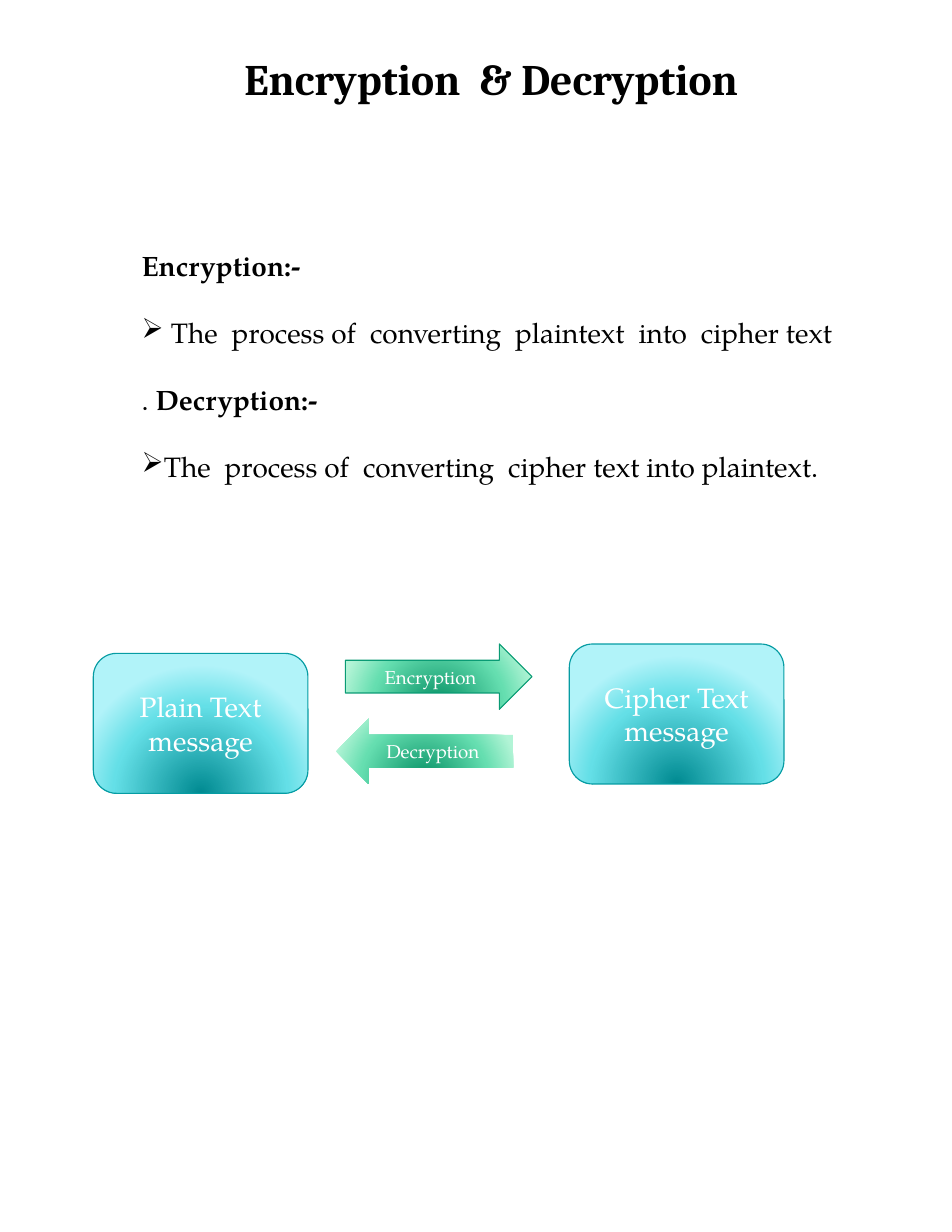
from dataclasses import dataclass
from typing import Optional

from lxml import etree
from pptx import Presentation
from pptx.dml.color import RGBColor
from pptx.enum.shapes import MSO_SHAPE
from pptx.enum.text import MSO_ANCHOR, PP_ALIGN
from pptx.oxml.ns import qn
from pptx.util import Inches, Pt

BOX, RIGHT, LEFT = (MSO_SHAPE.ROUNDED_RECTANGLE, MSO_SHAPE.RIGHT_ARROW,
                    MSO_SHAPE.LEFT_ARROW)
CENTER, MIDDLE = PP_ALIGN.CENTER, MSO_ANCHOR.MIDDLE

BLACK = RGBColor(0x00, 0x00, 0x00)
WHITE = RGBColor(0xFF, 0xFF, 0xFF)
TEAL_LINE = RGBColor(0x06, 0x9C, 0xA3)
GREEN_LINE = RGBColor(0x0A, 0x9B, 0x74)
TEAL = {0: RGBColor(0x00, 0x8A, 0x91), 68: RGBColor(0x64, 0xDF, 0xE7),
        100: RGBColor(0xB1, 0xF3, 0xF9)}
GREEN = {0: RGBColor(0x00, 0x8C, 0x60), 68: RGBColor(0x65, 0xDE, 0xB0),
         100: RGBColor(0xB2, 0xF4, 0xD6)}

HEAD_FONT, BODY_FONT = "Cambria", "TeX Gyre Pagella"
CELL = Inches(1) // 12  # the layout grid has twelve cells to the inch


@dataclass(frozen=True)
class Node:
    kind: int
    col: int
    row: int
    cols: int
    rows: int
    lines: tuple[str, ...]
    size: int
    stops: dict[int, RGBColor]
    line: Optional[RGBColor]


@dataclass(frozen=True)
class Para:
    runs: tuple[tuple[str, bool], ...]  # text, bold
    bullet: bool = False


NODES = (
    Node(BOX, 10, 70, 23, 15, ("Plain Text", "message"), 18, TEAL, TEAL_LINE),
    Node(RIGHT, 37, 69, 20, 7, ("Encryption",), 12, GREEN, GREEN_LINE),
    Node(BOX, 61, 69, 23, 15, ("Cipher Text", "message"), 18, TEAL, TEAL_LINE),
    Node(LEFT, 36, 77, 19, 7, ("Decryption",), 12, GREEN, None),
)
TITLE = (Para((("Encryption  & Decryption", True),)),)
BODY = (
    Para((("Encryption:-", True),)),
    Para(((" The  process of  converting  plaintext  into  cipher text", False),), True),
    Para(((".", False), (" Decryption:-", True))),
    Para((("The  process of  converting  cipher text into plaintext.", False),), True),
)


def add_run(p, text: str, color: RGBColor, **font) -> None:
    r = p.add_run()
    r.text = text
    r.font.color.rgb = color
    for name, value in font.items():
        setattr(r.font, name, value)


def paragraph(tf, i: int):
    return tf.add_paragraph() if i else tf.paragraphs[0]


def add_bullet(p) -> None:
    pPr = p._p.get_or_add_pPr()
    pPr.set("marL", "0")
    pPr.set("indent", "0")
    etree.SubElement(pPr, qn("a:buChar")).set("char", "➢")


def radial_fill(s, stops: dict[int, RGBColor]) -> None:
    """Fill with a circular gradient whose centre lies below the shape."""
    s.fill.gradient()
    grad = s._element.spPr.find(qn("a:gradFill"))
    for child in list(grad):
        grad.remove(child)
    gs_list = etree.SubElement(grad, qn("a:gsLst"))
    for pos, color in stops.items():
        gs = etree.SubElement(gs_list, qn("a:gs"), pos=str(pos * 1000))
        etree.SubElement(gs, qn("a:srgbClr"), val=str(color))
    circle = etree.SubElement(grad, qn("a:path"), {"path": "circle"})
    etree.SubElement(circle, qn("a:fillToRect"),
                     l="50000", t="130000", r="50000", b="-30000")


def add_node(slide, node: Node) -> None:
    s = slide.shapes.add_shape(node.kind, node.col * CELL, node.row * CELL,
                               node.cols * CELL, node.rows * CELL)
    s.shadow.inherit = False
    radial_fill(s, node.stops)
    if node.line is None:
        s.line.fill.background()
    else:
        s.line.color.rgb = node.line
        s.line.width = Pt(0.75)
    tf = s.text_frame
    tf.vertical_anchor = MIDDLE
    for i, text in enumerate(node.lines):
        p = paragraph(tf, i)
        p.alignment = CENTER
        add_run(p, text, WHITE, name=BODY_FONT, size=Pt(node.size))


def add_text(slide, box: tuple[float, ...], paras: tuple[Para, ...],
             font: str, size: int, gap: float = 0, **p_format) -> None:
    """Place paragraphs in a box given in grid cells, gap points apart."""
    tf = slide.shapes.add_textbox(*(int(v * CELL) for v in box)).text_frame
    tf.word_wrap = True
    for i, para in enumerate(paras):
        p = paragraph(tf, i)
        p.space_after = Pt(gap)
        for name, value in p_format.items():
            setattr(p, name, value)
        if para.bullet:
            add_bullet(p)
        for text, bold in para.runs:
            add_run(p, text, BLACK, name=font, size=Pt(size), bold=bold)


def main() -> None:
    prs = Presentation()
    prs.slide_width, prs.slide_height = Inches(8.5), Inches(11)
    slide = prs.slides.add_slide(prs.slide_layouts[6])
    add_text(slide, (24, 5, 57.25, 6.85), TITLE, HEAD_FONT, 28, alignment=CENTER)
    add_text(slide, (14, 26, 77.4, 41.2), BODY, BODY_FONT, 18, gap=21.5)
    for node in NODES:
        add_node(slide, node)
    prs.save("out.pptx")


if __name__ == "__main__":
    main()
